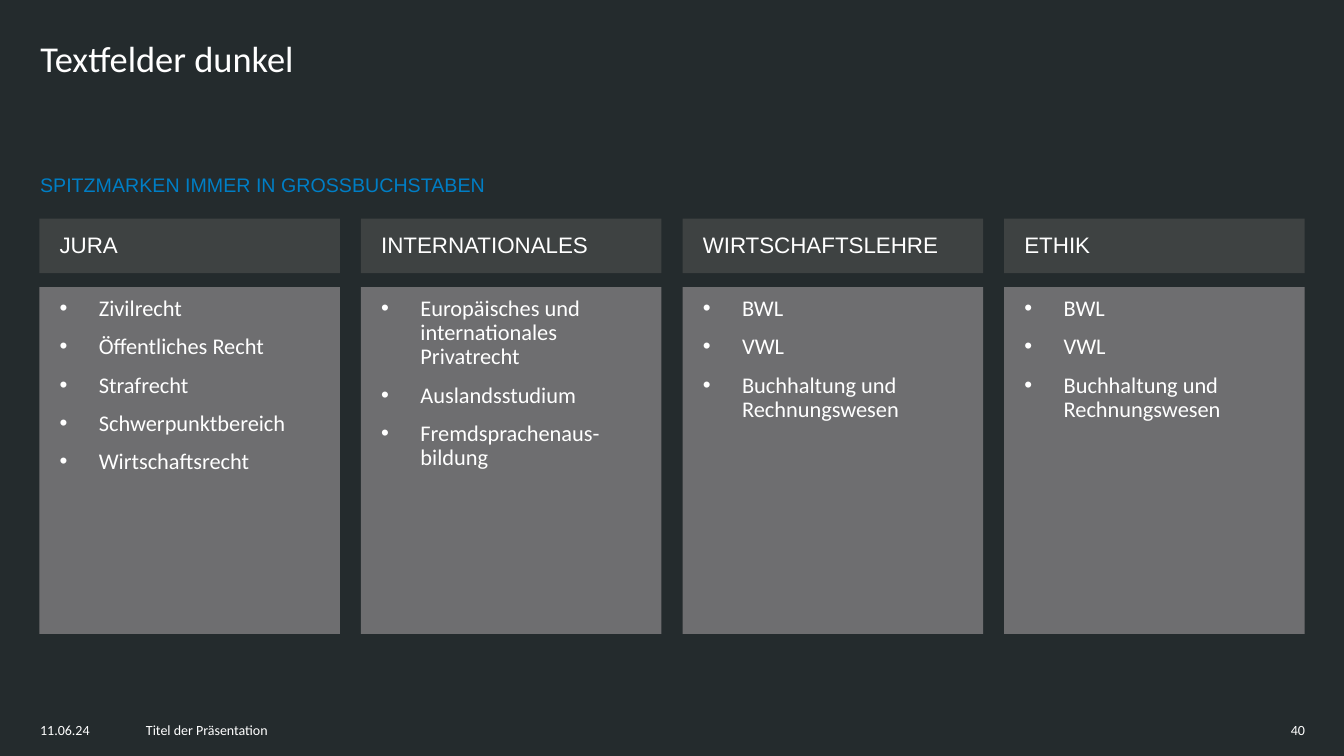
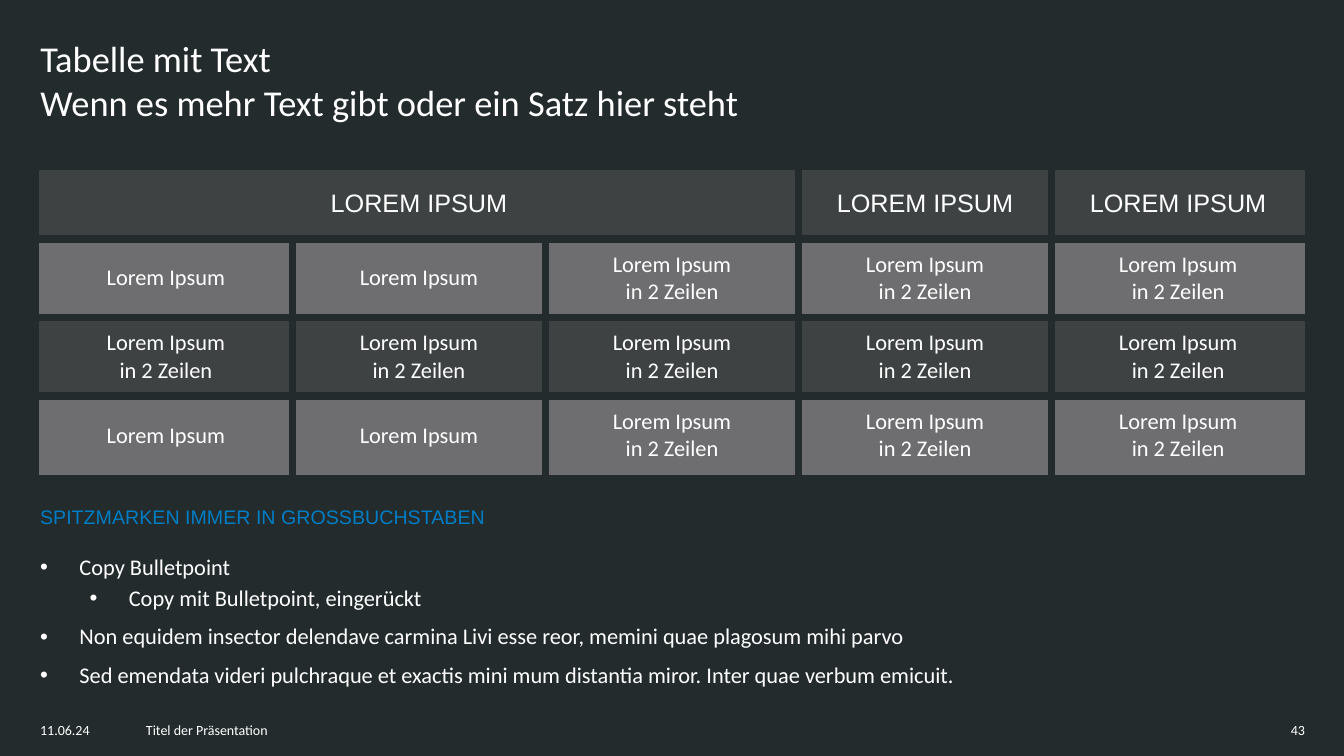
import lxml.etree
import pptx
import pptx.dml.color
import pptx.enum.shapes
import pptx.enum.text
import pptx.oxml.ns
import pptx.util

Inches = pptx.util.Inches
Pt = pptx.util.Pt
RGBColor = pptx.dml.color.RGBColor
Align = pptx.enum.text.PP_ALIGN
Anchor = pptx.enum.text.MSO_ANCHOR
qn = pptx.oxml.ns.qn

BACKGROUND = RGBColor(0x24, 0x2B, 0x2D)
DARK_GREY = RGBColor(0x3E, 0x42, 0x42)
MID_GREY = RGBColor(0x6E, 0x6E, 0x70)
WHITE = RGBColor(0xFF, 0xFF, 0xFF)
BLUE = RGBColor(0x00, 0x7E, 0xC5)

BODY_FONT = "Calibri"
CAPS_FONT = "Arial"
MARGIN = 0.39
TEXT_LEFT = 0.3
TEXT_WIDTH = 12.74
BULLET_INDENT = 0.39
KICKER = "SPITZMARKEN IMMER IN GROSSBUCHSTABEN"

COLUMNS = [
    ("JURA", ["Zivilrecht", "Öffentliches Recht", "Strafrecht",
              "Schwerpunktbereich", "Wirtschaftsrecht"]),
    ("INTERNATIONALES", ["Europäisches und internationales Privatrecht",
                         "Auslandsstudium", "Fremdsprachenaus-bildung"]),
    ("WIRTSCHAFTSLEHRE", ["BWL", "VWL", "Buchhaltung und Rechnungswesen"]),
    ("ETHIK", ["BWL", "VWL", "Buchhaltung und Rechnungswesen"]),
]

HEAD = "LOREM IPSUM"
SHORT = "Lorem Ipsum"
LONG = "Lorem Ipsum\nin 2 Zeilen"
TABLE_ROWS = [
    [HEAD, "", "", HEAD, HEAD],
    [SHORT, SHORT, LONG, LONG, LONG],
    [LONG] * 5,
    [SHORT, SHORT, LONG, LONG, LONG],
]

# Text and indent level
COPY_POINTS = [
    ("Copy Bulletpoint", 0),
    ("Copy mit Bulletpoint, eingerückt", 1),
    ("Non equidem insector delendave carmina Livi esse reor, "
     "memini quae plagosum mihi parvo", 0),
    ("Sed emendata videri pulchraque et exactis mini mum distantia miror. "
     "Inter quae verbum emicuit.", 0),
]


# Text helpers
def style_paragraph(para, size, font=BODY_FONT, color=WHITE, align=Align.LEFT):
    para.alignment = align
    para.font.size = Pt(size)
    para.font.name = font
    para.font.color.rgb = color


def space_paragraph(para, before=10):
    para.line_spacing = 0.9
    para.space_before = Pt(before)


def add_bullet(para, left):
    properties = para._p.get_or_add_pPr()
    properties.set("marL", str(Inches(left)))
    properties.set("indent", str(-Inches(BULLET_INDENT)))
    lxml.etree.SubElement(properties, qn("a:buFont"), typeface="Arial")
    lxml.etree.SubElement(properties, qn("a:buChar"), char="•")


def fill_bullets(frame, points):
    for index, (text, level) in enumerate(points):
        para = frame.add_paragraph() if index else frame.paragraphs[0]
        para.text = text
        para.level = level
        space_paragraph(para, 5 if level else 10)
        add_bullet(para, 0.88 if level else BULLET_INDENT)
        style_paragraph(para, 16)


def add_text_box(page, left, top, width, height):
    box = page.shapes.add_textbox(Inches(left), Inches(top), Inches(width), Inches(height))
    box.text_frame.word_wrap = True
    return box.text_frame


def add_panel(page, left, top, width, height, color, anchor):
    panel = page.shapes.add_shape(
        pptx.enum.shapes.MSO_SHAPE.RECTANGLE,
        Inches(left), Inches(top), Inches(width), Inches(height))
    panel.shadow.inherit = False
    panel.fill.solid()
    panel.fill.fore_color.rgb = color
    panel.line.fill.background()
    frame = panel.text_frame
    frame.word_wrap = True
    frame.vertical_anchor = anchor
    frame.margin_left = Inches(0.2)
    frame.margin_right = frame.margin_top = frame.margin_bottom = Inches(0.1)
    return frame


# Parts shared by the slides
def add_page(deck, title, number):
    page = deck.slides.add_slide(deck.slide_layouts[5])
    heading = page.shapes.title
    heading.left, heading.top = Inches(TEXT_LEFT), Inches(0.3)
    heading.width, heading.height = Inches(12.2), Inches(1.1)
    frame = heading.text_frame
    frame.text = title
    frame.word_wrap = True
    frame.auto_size = pptx.enum.text.MSO_AUTO_SIZE.NONE
    frame.vertical_anchor = Anchor.TOP
    frame.margin_top = frame.margin_bottom = Inches(0.06)
    style_paragraph(frame.paragraphs[0], 26)

    footer = [
        ("11.06.24", TEXT_LEFT, 0.98, Align.LEFT),
        ("Titel der Präsentation", 1.35, 10.63, Align.LEFT),
        (number, 12.25, 0.79, Align.RIGHT),
    ]
    for text, left, width, align in footer:
        para = add_text_box(page, left, 7.11, width, 0.31).paragraphs[0]
        para.text = text
        style_paragraph(para, 10, align=align)
    return page


def add_kicker(page, top):
    para = add_text_box(page, TEXT_LEFT, top, TEXT_WIDTH, 0.43).paragraphs[0]
    para.text = KICKER
    space_paragraph(para)
    style_paragraph(para, 14, CAPS_FONT, BLUE)


# Heading band with a bullet panel below it
def add_column(page, left, top, width, heading, points):
    para = add_panel(page, left, top, width, 0.54, DARK_GREY, Anchor.MIDDLE).paragraphs[0]
    para.text = heading
    space_paragraph(para)
    style_paragraph(para, 16, CAPS_FONT)
    body = add_panel(page, left, top + 0.68, width, 3.44, MID_GREY, Anchor.TOP)
    fill_bullets(body, [(point, 0) for point in points])


# Table with gaps between the cells and open outer edges
def set_borders(cell, inner_sides):
    properties = cell._tc.get_or_add_tcPr()
    for position, side in enumerate("LRTB"):
        line = lxml.etree.Element(qn("a:ln" + side), w=str(Pt(6)))
        if side in inner_sides:
            fill = lxml.etree.SubElement(line, qn("a:solidFill"))
            lxml.etree.SubElement(fill, qn("a:srgbClr"), val=str(BACKGROUND))
        else:
            lxml.etree.SubElement(line, qn("a:noFill"))
        properties.insert(position, line)


def style_cell(cell, text, row):
    header = row == 0
    cell.text = text
    cell.vertical_anchor = Anchor.TOP if header else Anchor.MIDDLE
    cell.margin_top = cell.margin_bottom = Inches(0.19 if header else 0.12)
    cell.fill.solid()
    cell.fill.fore_color.rgb = MID_GREY if row % 2 else DARK_GREY
    for para in cell.text_frame.paragraphs:
        style_paragraph(para, 18 if header else 16,
                        CAPS_FONT if header else BODY_FONT, align=Align.CENTER)


def add_text_table(page, left, top, width, rows):
    row_count, column_count = len(rows), len(rows[0])
    table = page.shapes.add_table(row_count, column_count, Inches(left), Inches(top),
                                  Inches(width), Inches(3)).table
    table.first_row = table.horz_banding = False
    for column in table.columns:
        column.width = Inches(width / column_count)
    table.cell(0, 0).merge(table.cell(0, 2))
    for row, texts in enumerate(rows):
        table.rows[row].height = Inches(0.78 if row else 0.67)
        for column, text in enumerate(texts):
            cell = table.cell(row, column)
            style_cell(cell, text, row)
            inner = {"L": column > 0, "R": column < column_count - 1,
                     "T": row > 0, "B": row < row_count - 1}
            set_borders(cell, [side for side in inner if inner[side]])


# Slides
def build_columns_page(deck):
    page = add_page(deck, "Textfelder dunkel", "40")
    add_kicker(page, 1.69)
    width, gap = 2.98, 0.21
    for index, (heading, points) in enumerate(COLUMNS):
        add_column(page, MARGIN + index * (width + gap), 2.17, width, heading, points)


def build_table_page(deck):
    page = add_page(
        deck, "Tabelle mit Text\vWenn es mehr Text gibt oder ein Satz hier steht", "43")
    add_text_table(page, MARGIN, 1.69, 12.55, TABLE_ROWS)
    add_kicker(page, 4.99)
    fill_bullets(add_text_box(page, TEXT_LEFT, 5.47, TEXT_WIDTH, 1.77), COPY_POINTS)


def main():
    deck = pptx.Presentation()
    deck.slide_width, deck.slide_height = Inches(13.33), Inches(7.5)
    backdrop = deck.slide_master.background.fill
    backdrop.solid()
    backdrop.fore_color.rgb = BACKGROUND
    build_columns_page(deck)
    build_table_page(deck)
    deck.save("out.pptx")


if __name__ == "__main__":
    main()
